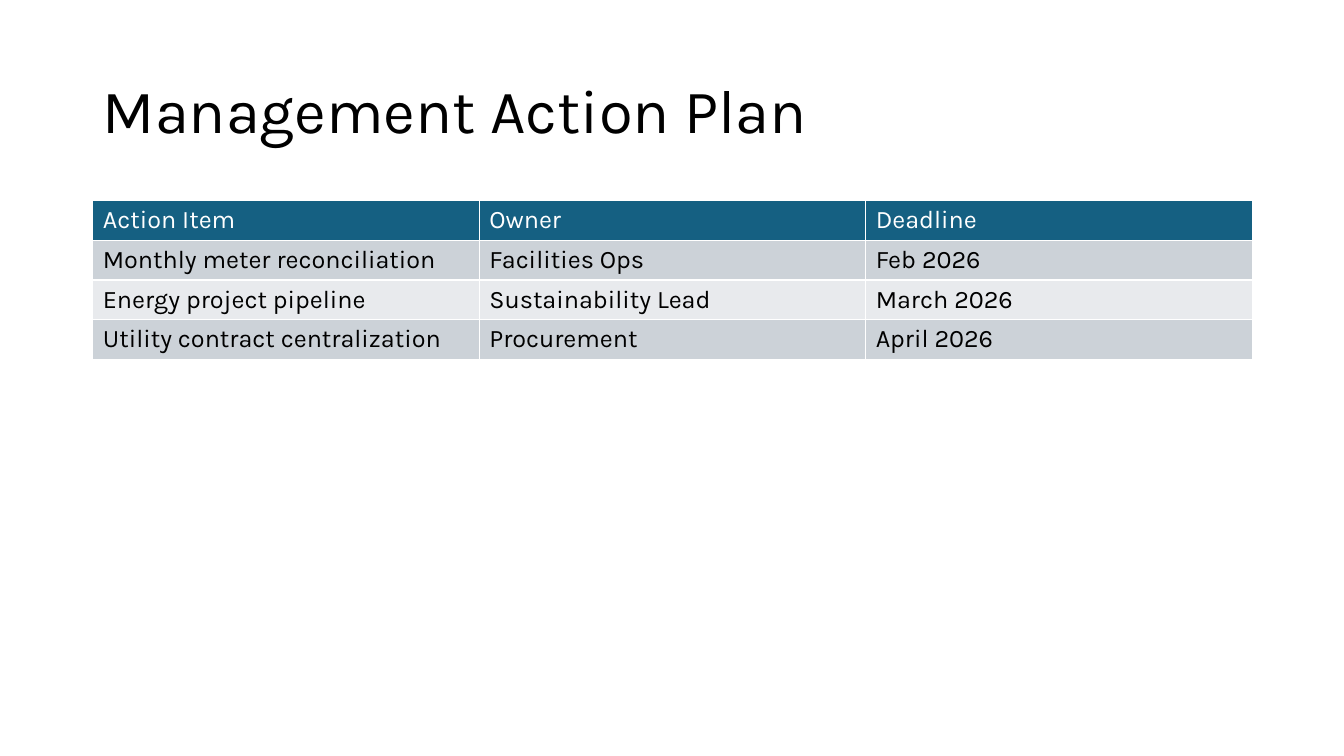
from lxml.etree import SubElement
from pptx import Presentation
from pptx.dml.color import RGBColor as RGB
from pptx.enum.text import MSO_ANCHOR as ANCHOR, MSO_AUTO_SIZE as AUTO, PP_ALIGN as ALIGN
from pptx.oxml.ns import qn
from pptx.util import Inches, Pt

COLORS = {"header": "156082", "odd": "CCD2D8", "even": "E8EAED",
          "white": "FFFFFF", "black": "000000"}
ROWS = [
    ("Action Item", "Owner", "Deadline"),
    ("Monthly meter reconciliation", "Facilities Ops", "Feb 2026"),
    ("Energy project pipeline", "Sustainability Lead", "March 2026"),
    ("Utility contract centralization", "Procurement", "April 2026"),
]


class Deck:
    """Hold the text style and the current slide."""

    def __init__(self, prs, font):
        self.font = font
        self.s = prs.slides.add_slide(prs.slide_layouts[5])

    def add_text(self, tf, text, size, color):
        """Put one styled run into a text frame and return its paragraph."""
        p = tf.paragraphs[0]
        r = p.add_run()
        r.text = text
        for name, value in {"name": self.font, "size": Pt(size), "bold": False}.items():
            setattr(r.font, name, value)
        r.font.color.rgb = RGB.from_string(COLORS[color])
        return p

    def title(self, text, left, top, width, height):
        """Place and fill the title placeholder."""
        sp = self.s.shapes.title
        box = {"left": left, "top": top, "width": width, "height": height}
        for name, value in box.items():
            setattr(sp, name, Inches(value))
        tf = sp.text_frame
        frame = {"vertical_anchor": ANCHOR.MIDDLE, "auto_size": AUTO.NONE, "word_wrap": True}
        for name, value in frame.items():
            setattr(tf, name, value)
        p = self.add_text(tf, text, 44, "black")
        for name, value in {"alignment": ALIGN.LEFT, "line_spacing": 0.9}.items():
            setattr(p, name, value)

    def border(self, cell, color, width):
        """Draw a solid line on all four sides of a cell."""
        tcPr = cell._tc.get_or_add_tcPr()
        for side in ("lnL", "lnR", "lnT", "lnB"):
            ln = SubElement(tcPr, qn(f"a:{side}"), w=str(Pt(width)))
            fill = SubElement(ln, qn("a:solidFill"))
            SubElement(fill, qn("a:srgbClr"), val=COLORS[color])

    def table(self, rows, left, top, width, row_height):
        """Add a table with a header and alternating row fills."""
        box = [Inches(v) for v in (left, top, width, row_height * len(rows))]
        tbl = self.s.shapes.add_table(len(rows), len(rows[0]), *box).table
        for i, row in enumerate(rows):
            tbl.rows[i].height = Inches(row_height)
            fill = "header" if i == 0 else "odd" if i % 2 else "even"
            for j, text in enumerate(row):
                cell = tbl.cell(i, j)
                self.border(cell, "white", 1)
                cell.fill.solid()
                cell.fill.fore_color.rgb = RGB.from_string(COLORS[fill])
                self.add_text(cell.text_frame, text, 18, "black" if i else "white")


def main():
    """Build the action plan slide."""
    prs = Presentation()
    prs.slide_width, prs.slide_height = Inches(13.33), Inches(7.5)
    deck = Deck(prs, "Karla")
    deck.title("Management Action Plan", 0.92, 0.4, 11.5, 1.45)
    deck.table(ROWS, 0.92, 1.99, 11.5, 0.39)
    prs.save("out.pptx")


if __name__ == "__main__":
    main()
